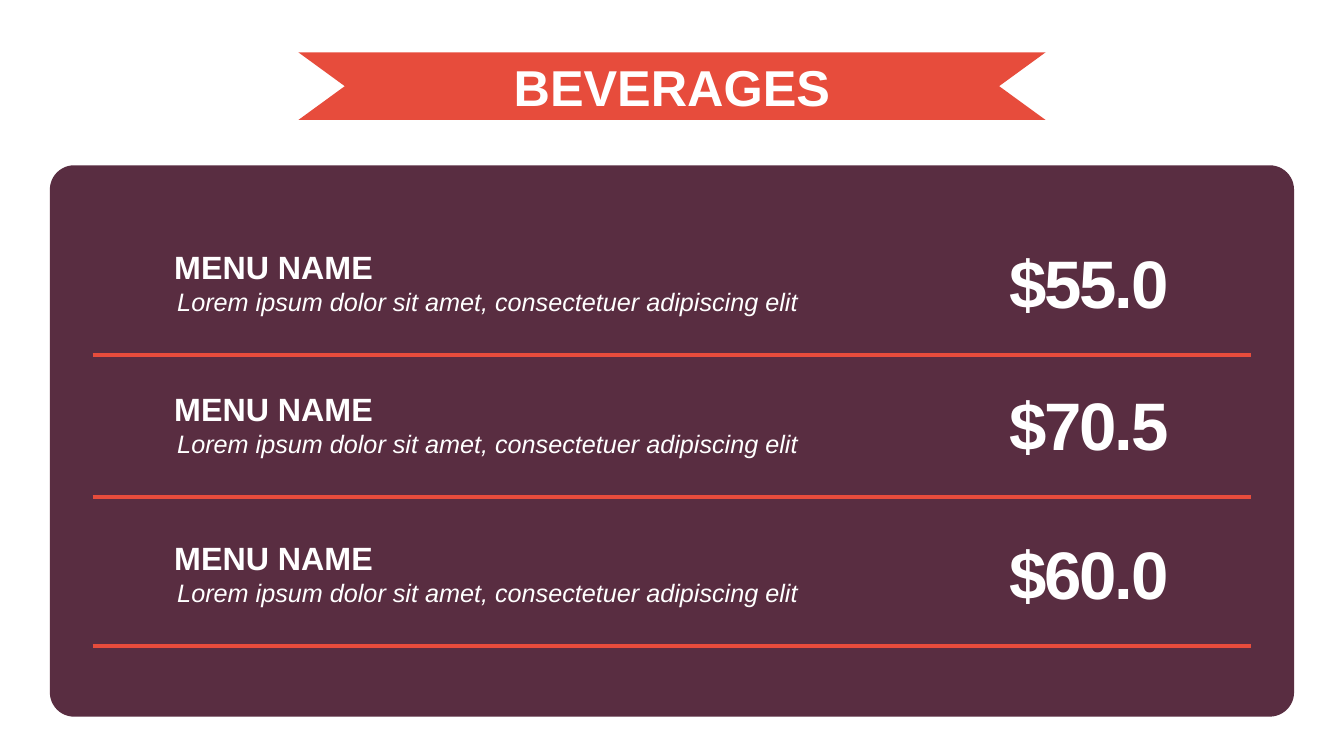
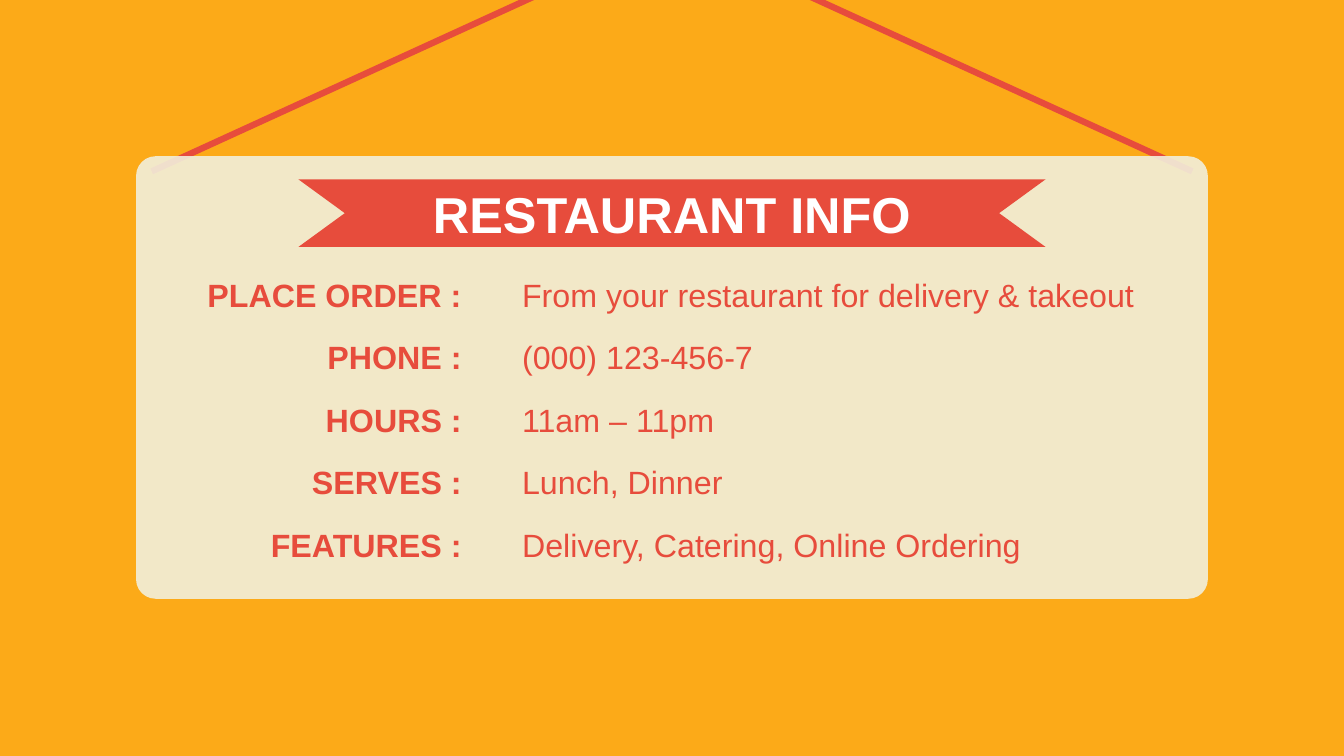
from dataclasses import dataclass

from pptx import Presentation
from pptx.dml.color import RGBColor
from pptx.enum import shapes, text
from pptx.oxml.xmlchemy import OxmlElement
from pptx.util import Inches, Pt


@dataclass(frozen=True)
class Theme:
    font: str = "Arial"
    white: str = "FFFFFF"
    red: str = "E74C3C"
    plum: str = "48172D"
    cream: str = "F2EFDC"
    orange: str = "FCAA18"
    title: int = 36
    price: int = 48
    label: int = 23
    note: int = 18


THEME = Theme()
WIDTH, HEIGHT = 13.33, 7.5
CENTER = WIDTH / 2

MENU_TITLE = "BEVERAGES"
MENU_NOTE = "Lorem ipsum dolor sit amet, consectetuer adipiscing elit"
MENU = [
    (2.4, "MENU NAME", MENU_NOTE, "$55.0"),
    (3.81, "MENU NAME", MENU_NOTE, "$70.5"),
    (5.29, "MENU NAME", MENU_NOTE, "$60.0"),
]

INFO_TITLE = "RESTAURANT INFO"
INFO = [
    ("PLACE ORDER :", "From your restaurant for delivery & takeout"),
    ("PHONE :", "(000) 123-456-7"),
    ("HOURS :", "11am – 11pm"),
    ("SERVES :", "Lunch, Dinner"),
    ("FEATURES :", "Delivery, Catering, Online Ordering"),
]


def write(shape, words, size, color, align=text.PP_ALIGN.LEFT, bold=False, italic=False):
    frame = shape.text_frame
    frame.word_wrap = True
    frame.text = words
    paragraph = frame.paragraphs[0]
    paragraph.alignment = align
    run = paragraph.runs[0]
    run.font.name = THEME.font
    run.font.size = Pt(size)
    run.font.bold = bold
    run.font.italic = italic
    run.font.color.rgb = RGBColor.from_string(color)
    return run


def add_words(slide, left, top, width, height, words, size, color, **style):
    box = slide.shapes.add_textbox(*map(Inches, (left, top, width, height)))
    return write(box, words, size, color, **style)


def paint(shape, color):
    shape.shadow.inherit = False
    shape.fill.solid()
    shape.fill.fore_color.rgb = RGBColor.from_string(color)
    shape.line.fill.background()


def add_panel(slide, top, width, height, color):
    panel = slide.shapes.add_shape(
        shapes.MSO_SHAPE.ROUNDED_RECTANGLE,
        *map(Inches, (CENTER - width / 2, top, width, height)))
    panel.adjustments[0] = 0.044
    paint(panel, color)
    alpha = OxmlElement("a:alpha")
    alpha.set("val", "90000")
    panel.fill._xPr.find(".//{*}srgbClr").append(alpha)


def add_line(slide, start, end, weight):
    line = slide.shapes.add_connector(
        shapes.MSO_CONNECTOR.STRAIGHT, *map(Inches, (*start, *end)))
    line.line.color.rgb = RGBColor.from_string(THEME.red)
    line.line.width = Pt(weight)
    line._element.spPr.append(OxmlElement("a:effectLst"))


def add_ribbon(slide, top, words):
    width, height, notch = 7.41, 0.67, 0.46
    left, right = CENTER - width / 2, CENTER + width / 2
    middle, bottom = top + height / 2, top + height
    outline = [(right, top), (right - notch, middle), (right, bottom),
               (left, bottom), (left + notch, middle)]
    builder = slide.shapes.build_freeform(Inches(left), Inches(top))
    builder.add_line_segments([(Inches(x), Inches(y)) for x, y in outline], close=True)
    ribbon = builder.convert_to_shape()
    paint(ribbon, THEME.red)
    ribbon.text_frame.vertical_anchor = text.MSO_ANCHOR.MIDDLE
    write(ribbon, words, THEME.title, THEME.white, text.PP_ALIGN.CENTER, bold=True)


def add_slide(deck, background):
    slide = deck.slides.add_slide(deck.slide_layouts[6])
    slide.background.fill.solid()
    slide.background.fill.fore_color.rgb = RGBColor.from_string(background)
    return slide


def build_menu(deck):
    slide = add_slide(deck, THEME.white)
    add_ribbon(slide, 0.52, MENU_TITLE)
    add_panel(slide, 1.64, 12.34, 5.47, THEME.plum)
    margin = 0.92
    for top, name, note, price in MENU:
        add_words(slide, 1.63, top, 4, 0.49, name, THEME.label, THEME.white, bold=True)
        add_words(slide, 1.66, top + 0.39, 7, 0.4, note, THEME.note, THEME.white, italic=True)
        amount = add_words(slide, 9.91, top - 0.06, 2.2, 0.91, price,
                           THEME.price, THEME.white, bold=True)
        amount.font._element.set("spc", "-150")
        rule = top + 1.12
        add_line(slide, (margin, rule), (WIDTH - margin, rule), 3)


def build_info(deck):
    slide = add_slide(deck, THEME.orange)
    for side in (-1, 1):
        add_line(slide, (CENTER + side * 5.16, 1.7), (CENTER, -0.66), 4.5)
    add_panel(slide, 1.55, 10.63, 4.39, THEME.cream)
    add_ribbon(slide, 1.78, INFO_TITLE)
    for row, (label, detail) in enumerate(INFO):
        top = 2.68 + row * 0.62
        add_words(slide, 1.68, top, 3, 0.49, label, THEME.label, THEME.red,
                  align=text.PP_ALIGN.RIGHT, bold=True)
        add_words(slide, 5.08, top, 6.8, 0.49, detail, THEME.label, THEME.red)


def main():
    deck = Presentation()
    deck.slide_width, deck.slide_height = Inches(WIDTH), Inches(HEIGHT)
    build_menu(deck)
    build_info(deck)
    deck.save("out.pptx")


if __name__ == "__main__":
    main()
